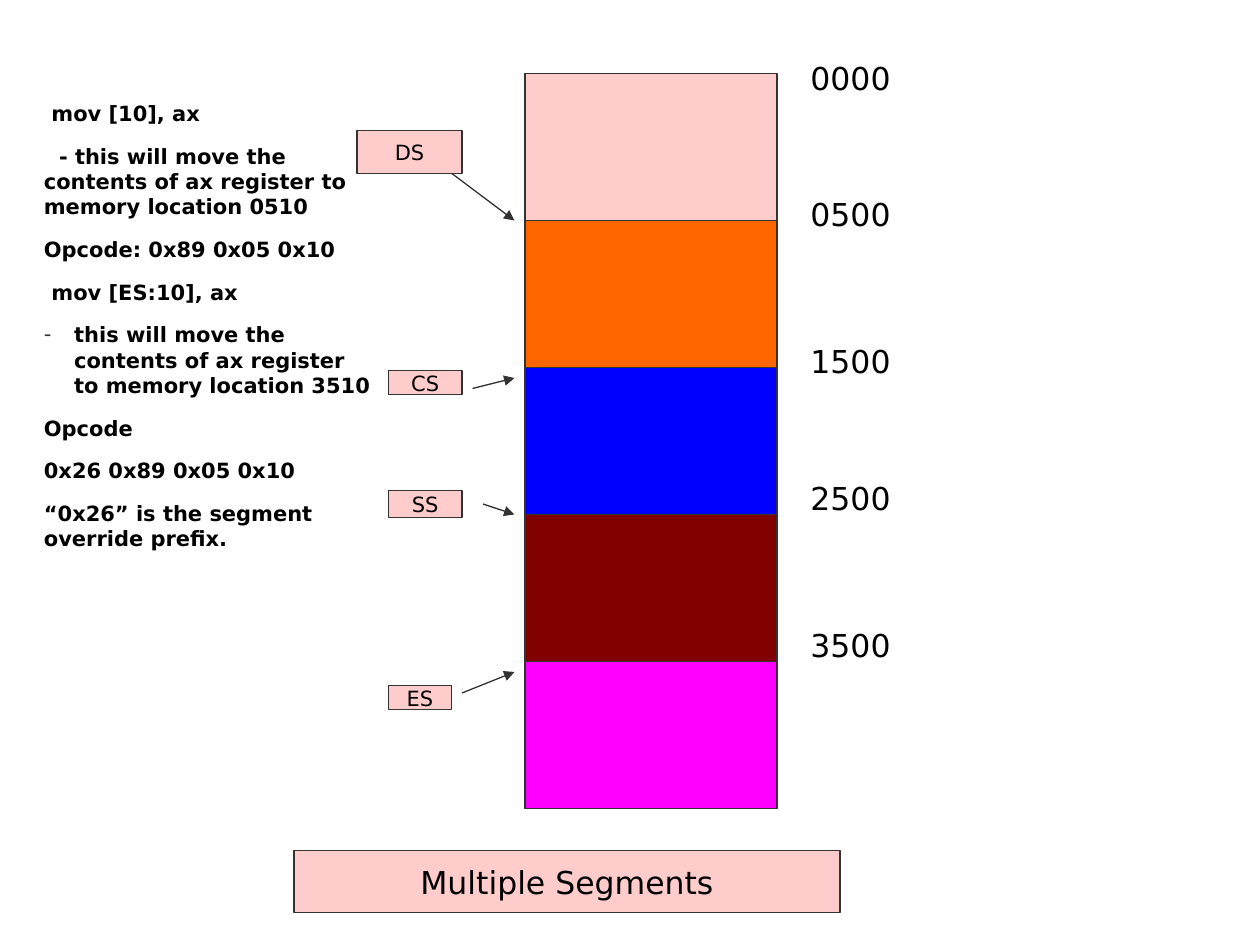
from lxml import etree
from pptx import Presentation
from pptx import util as u
from pptx.dml.color import RGBColor
from pptx.enum import shapes, text
from pptx.oxml import ns

FONT, INK, EDGE, PINK = "DejaVu Sans", "000000", "333333", "FFCCCC"
CELL = u.Inches(1) / 12

MEMORY = (50, 7, 24, 70)
SEGMENT_FILLS = [PINK, "FF6600", "0000FF", "800000", "FF00FF"]
ADDRESSES = [("0000", 5), ("0500", 18), ("1500", 32), ("2500", 45), ("3500", 59)]
REGISTERS = [
    ("DS", (34, 12.45, 10, 4.1), (43, 16.5), (49, 21)),
    ("CS", (37, 35.3, 7, 2.3), (45, 37), (49, 36)),
    ("SS", (37, 46.7, 7, 2.6), (46, 48), (49, 49)),
    ("ES", (37, 65.3, 6, 2.3), (44, 66), (49, 64)),
]
NOTES = [
    ("mov [10], ax", 0, 0.06, None),
    ("- this will move the contents of ax register to memory location 0510", 0, 0.12, None),
    ("Opcode: 0x89 0x05 0x10", 0, 0, None),
    ("mov [ES:10], ax", 0, 0.06, None),
    ("this will move the contents of ax register to memory location 3510", 0.24, -0.24, "-"),
    ("Opcode", 0, 0, None),
    ("0x26 0x89 0x05 0x10", 0, 0, None),
    ("“0x26” is the segment override prefix.", 0, 0, None),
]


def color(value):
    """Turn a hex string into a colour."""
    return RGBColor.from_string(value)


def grid(*cells):
    """Convert grid columns and rows to slide lengths."""
    return [u.Emu(round(cell * CELL)) for cell in cells]


def style(paragraph, size, bold=False):
    """Set the font of a whole paragraph."""
    font = paragraph.font
    font.name, font.size, font.bold = FONT, u.Pt(size), bold
    font.color.rgb = color(INK)


def add_block(slide, box, fill, caption="", size=12):
    """Draw an outlined block with an optional centred caption."""
    block = slide.shapes.add_shape(shapes.MSO_SHAPE.ROUNDED_RECTANGLE, *grid(*box))
    block.adjustments[0] = 0
    block.shadow.inherit = False
    block.fill.solid()
    block.fill.fore_color.rgb = color(fill)
    block.line.color.rgb = color(EDGE)
    block.line.width = u.Pt(0.75)
    if caption:
        frame = block.text_frame
        frame.margin_top = frame.margin_bottom = 0
        frame.vertical_anchor = text.MSO_ANCHOR.MIDDLE
        paragraph = frame.paragraphs[0]
        paragraph.text = caption
        paragraph.alignment = text.PP_ALIGN.CENTER
        style(paragraph, size)


def add_arrow(slide, start, end):
    """Draw a thin arrow between two grid points."""
    arrow = slide.shapes.add_connector(shapes.MSO_CONNECTOR.STRAIGHT, *grid(*start, *end))
    arrow.line.color.rgb = color(EDGE)
    arrow.line.width = u.Pt(0.75)
    etree.SubElement(arrow.line._get_or_add_ln(), ns.qn("a:tailEnd"), type="triangle")
    etree.SubElement(arrow._element.spPr, ns.qn("a:effectLst"))


def add_frame(slide, box):
    """Add a wrapping text box and return its text frame."""
    frame = slide.shapes.add_textbox(*grid(*box)).text_frame
    frame.word_wrap = True
    return frame


def add_memory(slide, box):
    """Stack the memory segments and put start addresses beside them."""
    left, top, width, height = box
    row = height / len(SEGMENT_FILLS)
    for index, fill in enumerate(SEGMENT_FILLS):
        add_block(slide, (left, top + index * row, width, row), fill)
    for address, label_top in ADDRESSES:
        paragraph = add_frame(slide, (left + width + 2, label_top, 14, 4.8)).paragraphs[0]
        paragraph.text = address
        style(paragraph, 18)


def add_registers(slide):
    """Place each segment register and its pointer into memory."""
    for register, box, start, end in REGISTERS:
        add_block(slide, box, PINK, register)
        add_arrow(slide, start, end)


def add_notes(slide, box):
    """Write the explanation of the two instructions."""
    frame = add_frame(slide, box)
    for index, (note, margin, indent, bullet) in enumerate(NOTES):
        paragraph = frame.add_paragraph() if index else frame.paragraphs[0]
        paragraph.text = note
        if index:
            paragraph.space_before = u.Pt(10)
        properties = paragraph._p.get_or_add_pPr()
        properties.set("marL", str(u.Inches(margin)))
        properties.set("indent", str(u.Inches(indent)))
        if bullet:
            tint = etree.SubElement(properties, ns.qn("a:buClr"))
            etree.SubElement(tint, ns.qn("a:srgbClr"), val=EDGE)
            etree.SubElement(properties, ns.qn("a:buFont"), typeface=FONT)
            etree.SubElement(properties, ns.qn("a:buChar"), char=bullet)
        style(paragraph, 12, bold=True)


def main():
    """Build and save the slide."""
    deck = Presentation()
    deck.slide_width, deck.slide_height = grid(120, 90)
    slide = deck.slides.add_slide(deck.slide_layouts[6])
    add_block(slide, (28, 81, 52, 5.9), PINK, "Multiple Segments", 18)
    add_memory(slide, MEMORY)
    add_registers(slide)
    add_notes(slide, (3, 9, 34, 44))
    deck.save("out.pptx")


if __name__ == "__main__":
    main()
